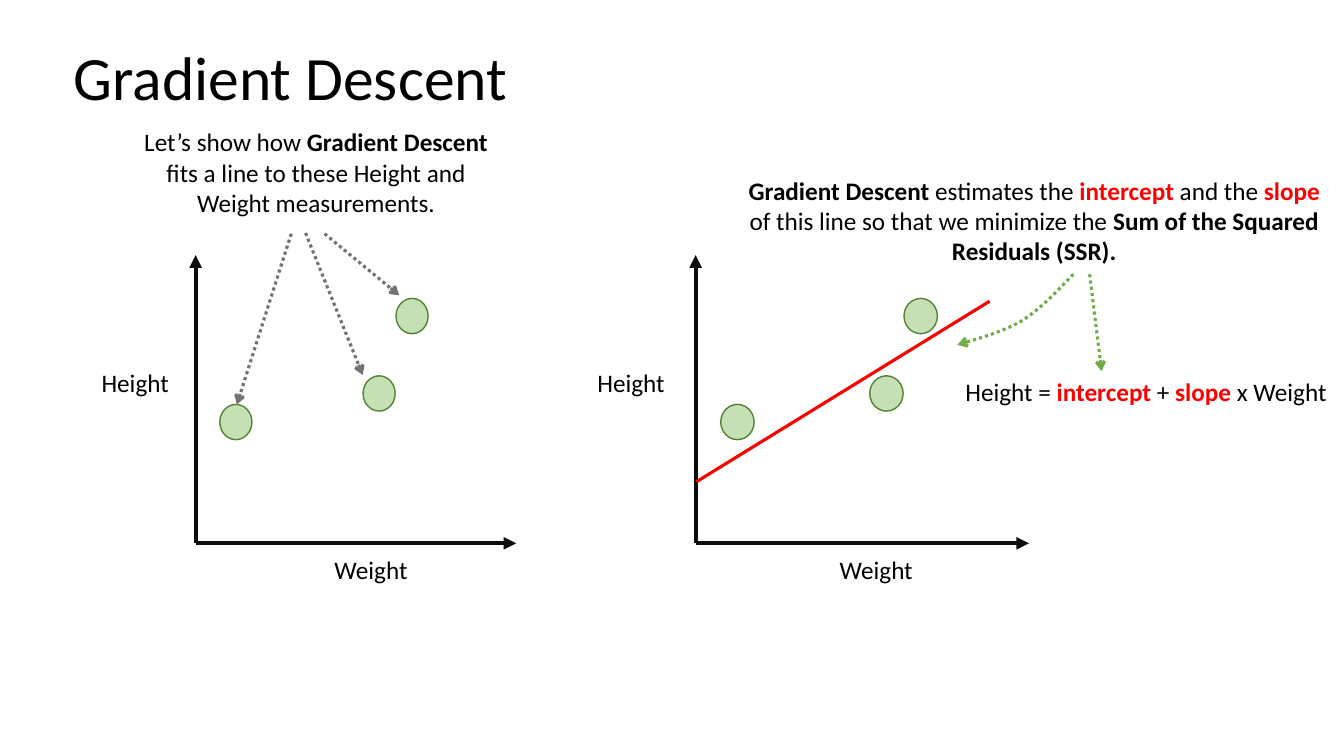
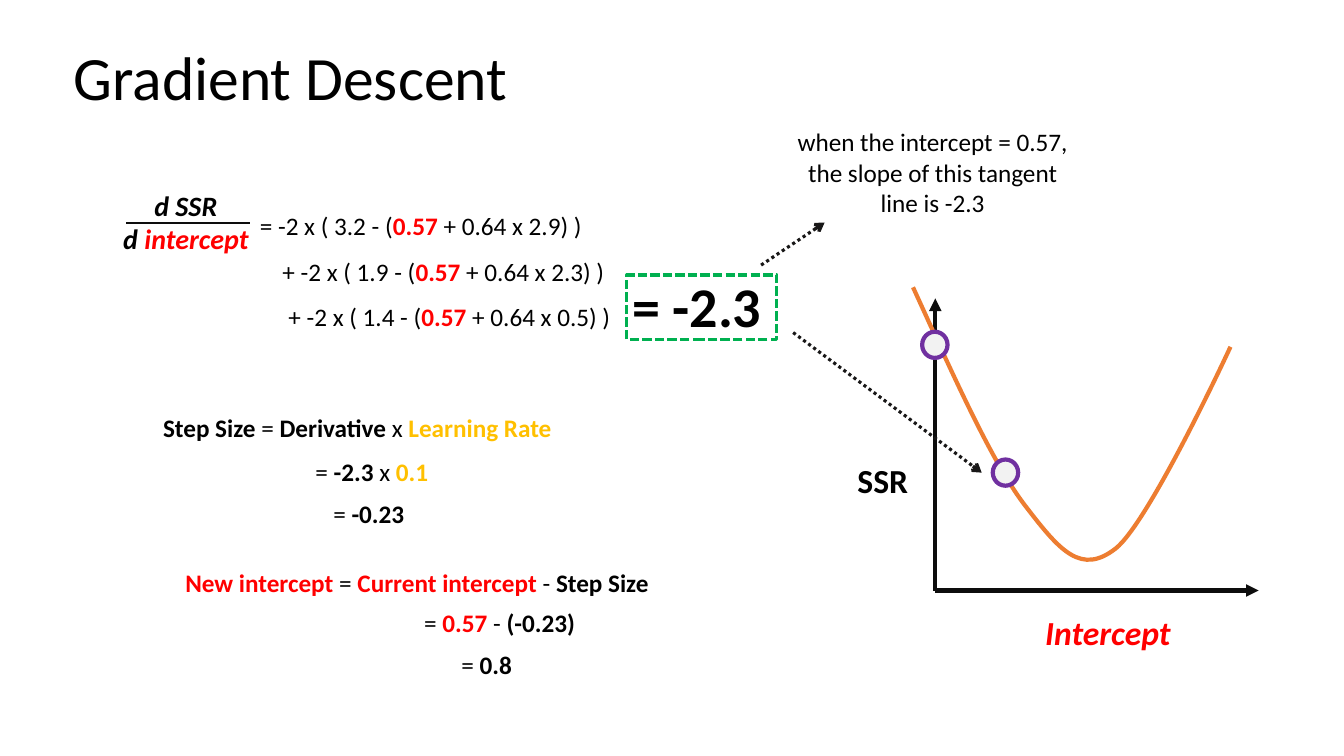
from dataclasses import dataclass
from typing import Optional, Union

from lxml.etree import SubElement
from pptx import Presentation
from pptx.dml.color import RGBColor
from pptx.enum.dml import MSO_LINE
from pptx.enum.shapes import MSO_CONNECTOR, MSO_SHAPE
from pptx.enum.text import MSO_ANCHOR, MSO_AUTO_SIZE, PP_ALIGN
from pptx.oxml.ns import qn
from pptx.util import Cm, Pt

BLACK = RGBColor(0x00, 0x00, 0x00)
AXIS = RGBColor(0x0D, 0x0D, 0x0D)
INK = RGBColor(0x18, 0x17, 0x17)
GRAY = RGBColor(0x76, 0x71, 0x71)
PALE = RGBColor(0xF2, 0xF2, 0xF2)
RED = RGBColor(0xFF, 0x00, 0x00)
GOLD = RGBColor(0xFF, 0xC0, 0x00)
ORANGE = RGBColor(0xED, 0x7D, 0x31)
PURPLE = RGBColor(0x70, 0x30, 0xA0)
MINT = RGBColor(0xC5, 0xE0, 0xB4)
MOSS = RGBColor(0x54, 0x82, 0x35)
LEAF = RGBColor(0x70, 0xAD, 0x47)
GREEN = RGBColor(0x00, 0xB0, 0x50)
FONT = "Calibri"
FLOOR = 13.69  # height of the x axis on the scatter plots, in cm

Point = tuple[float, float]


@dataclass(frozen=True)
class Box:
    left: float
    top: float
    width: float
    height: float = 1.02

    def place(self) -> tuple[Cm, Cm, Cm, Cm]:
        return Cm(self.left), Cm(self.top), Cm(self.width), Cm(self.height)


@dataclass(frozen=True)
class Style:
    color: RGBColor = BLACK
    bold: bool = False
    italic: bool = False

    def apply(self, font) -> None:
        font.color.rgb = self.color
        font.bold = self.bold
        font.italic = self.italic


@dataclass(frozen=True)
class Run:
    text: str
    style: Style = Style()


@dataclass(frozen=True)
class Line:
    """Paragraph of runs, indented by a length in cm."""
    runs: tuple[Run, ...]
    indent: float = 0


@dataclass(frozen=True)
class Pen:
    color: RGBColor
    width: float = 2.25
    dash: Optional[MSO_LINE] = None
    head: Optional[str] = None

    def apply(self, line) -> None:
        line.color.rgb = self.color
        line.width = Pt(self.width)
        if self.dash is not None:
            line.dash_style = self.dash
        if self.head:
            SubElement(line._get_or_add_ln(), qn("a:tailEnd"), type=self.head)


AXIS_PEN = Pen(AXIS, 3, head="triangle")


def dotted(color: RGBColor) -> Pen:
    return Pen(color, dash=MSO_LINE.ROUND_DOT, head="arrow")


def bold(text: str, color: RGBColor = BLACK, italic: bool = False) -> Run:
    return Run(text, Style(color, True, italic))


def red(text: str) -> Run:
    return bold(text, RED)


def row(*parts: Union[str, Run], indent: float = 0) -> Line:
    runs = tuple(Run(p) if isinstance(p, str) else p for p in parts)
    return Line(runs, indent)


def write(slide, box: Box, *lines: Line, size: float = 18,
          align: PP_ALIGN = PP_ALIGN.LEFT,
          anchor: MSO_ANCHOR = MSO_ANCHOR.TOP, space: float = 1) -> None:
    frame = slide.shapes.add_textbox(*box.place()).text_frame
    frame.word_wrap = True
    frame.vertical_anchor = anchor
    for num, line in enumerate(lines):
        para = frame.add_paragraph() if num else frame.paragraphs[0]
        para.alignment = align
        para.line_spacing = space
        if line.indent:
            para._p.get_or_add_pPr().set("marL", str(Cm(line.indent)))
        styles = {run.style for run in line.runs}
        base = styles.pop() if len(styles) == 1 else Style()
        para.font.name = FONT
        para.font.size = Pt(size)
        base.apply(para.font)
        for part in line.runs:
            run = para.add_run()
            run.text = part.text
            if part.style != base:
                part.style.apply(run.font)


def rule(slide, start: Point, end: Point, pen: Pen) -> None:
    link = slide.shapes.add_connector(
        MSO_CONNECTOR.STRAIGHT, *(Cm(v) for v in (*start, *end)))
    pen.apply(link.line)
    SubElement(link._element.spPr, qn("a:effectLst"))


def shape(slide, kind: MSO_SHAPE, box: Box, pen: Pen,
          fill: Optional[RGBColor] = None) -> None:
    item = slide.shapes.add_shape(kind, *box.place())
    item.shadow.inherit = False
    if fill is None:
        item.fill.background()
    else:
        item.fill.solid()
        item.fill.fore_color.rgb = fill
    pen.apply(item.line)


def curve(slide, points: list[Point], pen: Pen) -> None:
    """Draw cubic curves: a start, then two controls and an end for each."""
    start, *rest = [(Cm(x), Cm(y)) for x, y in points]
    maker = slide.shapes.build_freeform(*start)
    maker.add_line_segments(rest, close=False)
    item = maker.convert_to_shape()
    item.shadow.inherit = False
    item.fill.background()
    pen.apply(item.line)
    steps = list(item._element.iter(qn("a:lnTo")))
    trace = steps[0].getparent()
    for num in range(0, len(steps), 3):
        cubic = SubElement(trace, qn("a:cubicBezTo"))
        for step in steps[num:num + 3]:
            cubic.append(step[0])
            trace.remove(step)


def axes(slide, left: float, floor: float, top: float, right: float) -> None:
    for end in ((left, top), (right, floor)):
        rule(slide, (left, floor), end, AXIS_PEN)


def scatter(slide, left: float, scale: float = 1) -> None:
    """Draw the height and weight plot, stretched sideways by scale."""
    axes(slide, left, FLOOR, 6.43, left + 8.08 * scale)
    for shift, top in ((0.61, 10.19), (4.22, 9.47), (5.05, 7.52)):
        dot = Box(left + shift * scale, top, 0.81 * scale, 0.89)
        shape(slide, MSO_SHAPE.OVAL, dot, Pen(MOSS, 1), MINT)
    wide = 2.62 * scale
    write(slide, Box(left - wide, 9.12, wide), row("Height"))
    write(slide, Box(left + 3.25 * scale, 13.84, wide), row("Weight"))


def start(deck, text: str):
    """Add a slide with the shared title."""
    slide = deck.slides.add_slide(deck.slide_layouts[5])
    title = slide.shapes.title
    title.left, title.top, title.width, title.height = Box(
        1.6, 0.2, 17.32, 3.68).place()
    frame = title.text_frame
    frame.text = text
    frame.auto_size = MSO_AUTO_SIZE.NONE
    frame.vertical_anchor = MSO_ANCHOR.MIDDLE
    para = frame.paragraphs[0]
    para.alignment = PP_ALIGN.LEFT
    para.line_spacing = 0.9
    para.font.name = FONT
    para.font.size = Pt(44)
    para.font.color.rgb = BLACK
    return slide


def fit(deck) -> None:
    slide = start(deck, "Gradient Descent")
    scatter(slide, 4.93)
    scatter(slide, 17.53, 1.04)
    rule(slide, (17.55, 12.14), (24.94, 7.59), Pen(RED))

    write(slide, Box(3.2, 3.07, 9.53, 2.57),
          row("Let’s show how ", bold("Gradient Descent "),
              "fits a line to these Height and Weight measurements."),
          align=PP_ALIGN.CENTER)
    for tail, tip in (((7.34, 5.89), (5.97, 10.19)),
                      ((7.7, 5.87), (9.14, 9.45)),
                      ((8.18, 5.89), (10.06, 7.44))):
        rule(slide, tail, tip, dotted(GRAY))

    write(slide, Box(18.47, 4.29, 15.19, 2.57),
          row(bold("Gradient Descent "), "estimates the ", red("intercept"),
              " and the ", red("slope"),
              " of this line so that we minimize the ",
              bold("Sum of the Squared Residuals (SSR).")),
          align=PP_ALIGN.CENTER)
    write(slide, Box(24.08, 9.35, 9.7),
          row("Height = ", red("intercept"), " + ", red("slope"),
              " x Weight"))
    curve(slide, [(27.05, 6.91), (26.64, 7.34), (26.24, 7.77), (25.76, 8.08),
                  (25.27, 8.36), (24.13, 8.69), (24.13, 8.69)], dotted(LEAF))
    rule(slide, (27.46, 6.91), (27.76, 9.35), dotted(LEAF))


def descend(deck) -> None:
    slide = start(deck, "Gradient Descent")
    write(slide, Box(2.74, 4.62, 3.89, 1.96),
          row(bold("d SSR", italic=True)),
          row(bold("d ", italic=True), bold("intercept", RED, True)),
          size=20, align=PP_ALIGN.CENTER)
    rule(slide, (3.18, 5.61), (6.3, 5.61), Pen(AXIS, 1.5))
    terms = (("= -2 x ( 3.2 - (", "2.9", 0), ("+ -2 x ( 1.9 - (", "2.3", 0.57),
             ("+ -2 x ( 1.4 - (", "0.5", 0.72))
    write(slide, Box(6.3, 4.8, 16.94, 3.61),
          *(row(lead, red("0.57"), f" + 0.64 x {weight}) )", indent=indent)
            for lead, weight, indent in terms), space=1.5)

    write(slide, Box(15.54, 6.71, 4.04, 1.96), row(bold("= -2.3")), size=40,
          align=PP_ALIGN.CENTER, anchor=MSO_ANCHOR.MIDDLE)
    shape(slide, MSO_SHAPE.RECTANGLE, Box(15.8, 6.93, 3.78, 1.63),
          Pen(GREEN, dash=MSO_LINE.SQUARE_DOT))
    write(slide, Box(19.81, 3.07, 7.39, 2.57),
          row("when the intercept = 0.57, the slope of this tangent "
              "line is -2.3"), align=PP_ALIGN.CENTER)
    rule(slide, (19.18, 6.68), (20.78, 5.61), dotted(INK))

    sums = (
        (Box(3.86, 10.26, 16.94),
         row(bold("Step Size "), "= ", bold("Derivative"), " x ",
             bold("Learning Rate", GOLD))),
        (Box(7.7, 11.38, 3.38),
         row("= ", bold("-2.3 "), "x ", bold("0.1", GOLD))),
        (Box(8.15, 12.42, 2.44), row("= ", bold("-0.23"))),
        (Box(4.42, 14.17, 16.94),
         row(red("New intercept "), "= ", red("Current intercept "), "- ",
             bold("Step Size"))),
        (Box(10.44, 15.19, 5.11),
         row("= ", red("0.57"), " - ", bold("(-0.23)"))),
        (Box(11.38, 16.23, 2.24), row("= ", bold("0.8"))),
    )
    for box, line in sums:
        write(slide, box, line)

    axes(slide, 23.57, 14.88, 7.52, 31.72)
    write(slide, Box(21.36, 11.46, 2.64, 1.27), row(bold("SSR")), size=24)
    write(slide, Box(26.09, 15.29, 3.81, 1.27),
          row(bold("Intercept", RED, True)), size=24)
    curve(slide, [(23.01, 7.24), (24.03, 9.47), (25.02, 11.71), (25.88, 12.8),
                  (26.72, 13.89), (27.25, 14.5), (28.12, 13.82),
                  (28.98, 13.13), (31.01, 8.74), (31.01, 8.74)],
          Pen(ORANGE, 3))
    for left, top in ((23.24, 8.36), (25.02, 11.58)):
        shape(slide, MSO_SHAPE.OVAL, Box(left, top, 0.64, 0.66),
              Pen(PURPLE, 3), PALE)
    rule(slide, (19.99, 8.38), (24.74, 11.91), dotted(INK))


def main() -> None:
    deck = Presentation()
    deck.slide_width, deck.slide_height = Cm(33.87), Cm(19.05)
    fit(deck)
    descend(deck)
    deck.save("out.pptx")


if __name__ == "__main__":
    main()
